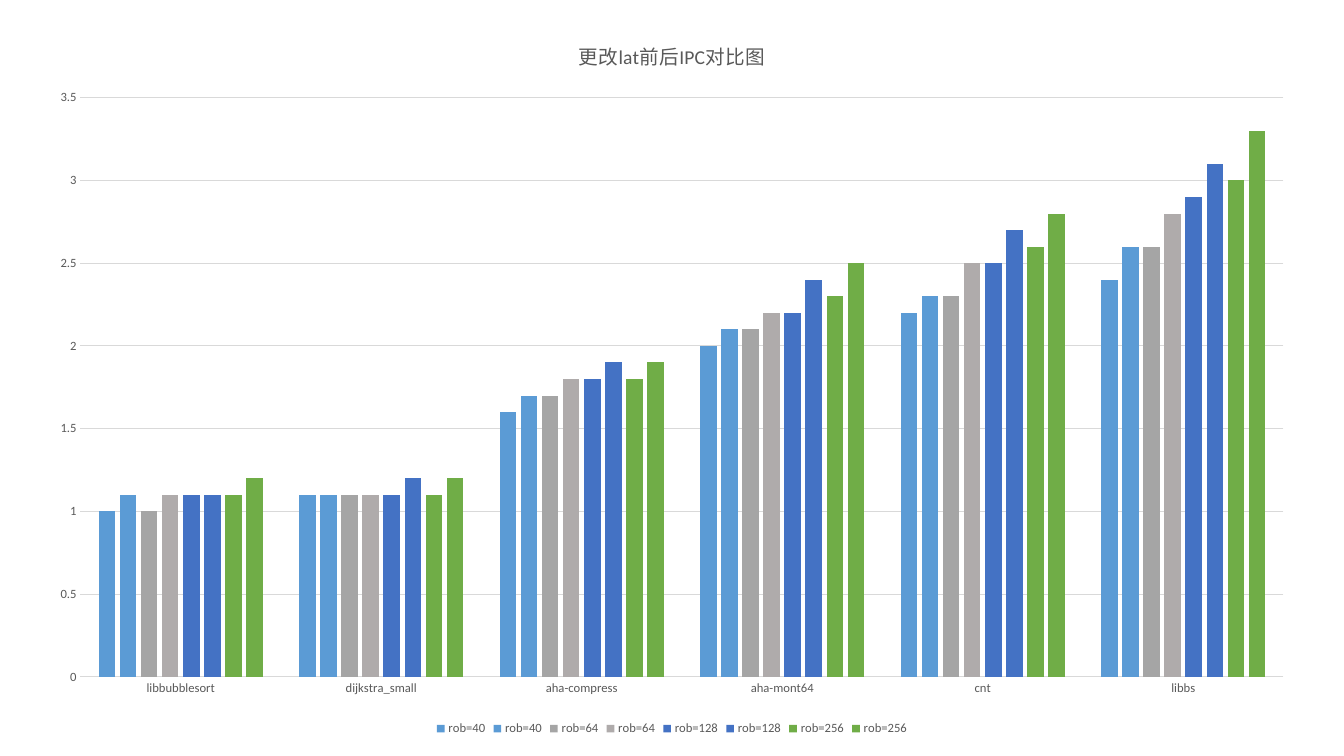
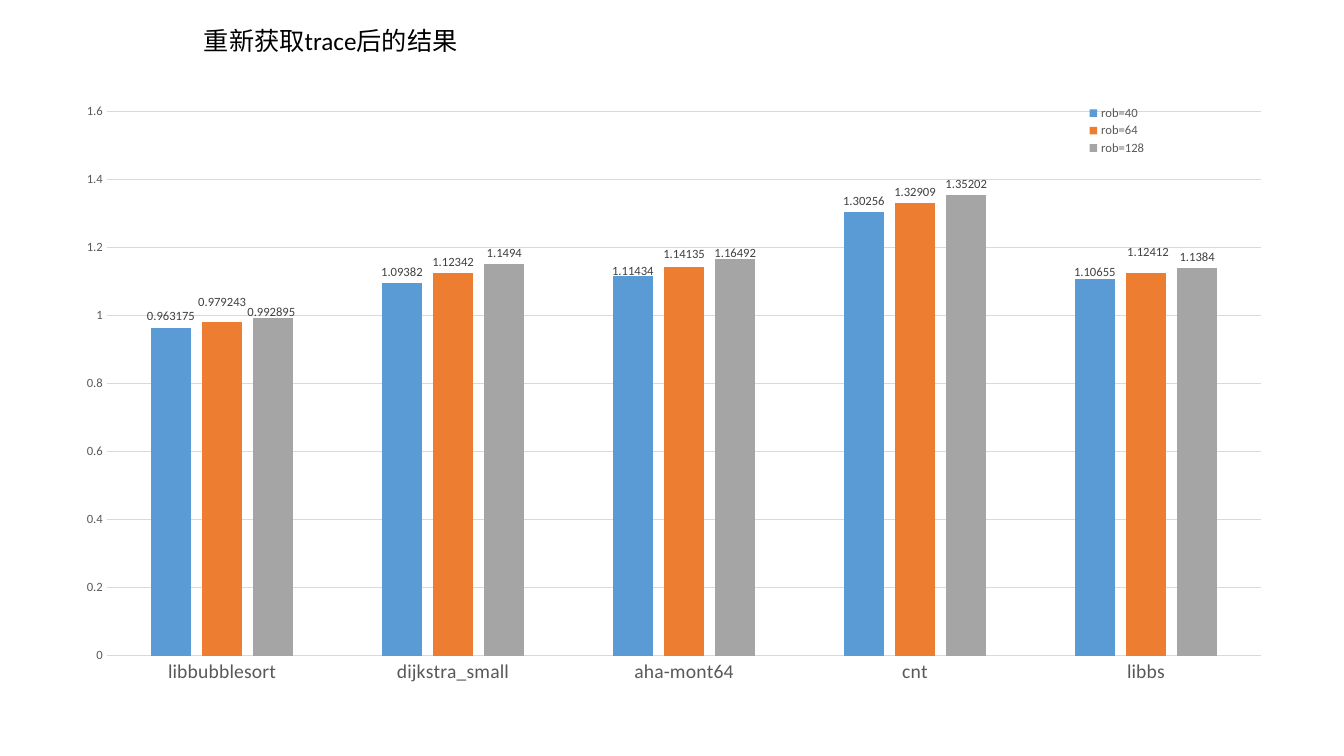
from lxml.etree import SubElement
from pptx import Presentation
from pptx.chart.data import CategoryChartData
from pptx.dml.color import RGBColor
from pptx.enum.chart import XL_CHART_TYPE, XL_LABEL_POSITION, XL_LEGEND_POSITION, XL_TICK_MARK
from pptx.enum.text import MSO_AUTO_SIZE
from pptx.oxml.ns import qn
from pptx.util import Pt

SCALE = 914400 / 100.8
FONT = "Calibri"
COLORS = {
    "text": "595959", "label": "404040", "grid": "D9D9D9", "black": "000000",
    "blue": "5B9BD5", "orange": "ED7D31", "gray": "A5A5A5",
    "warm gray": "AFABAB", "deep blue": "4472C4", "green": "70AD47",
}


def style_font(font, size, color):
    font.name, font.size, font.bold = FONT, Pt(size), False
    font.color.rgb = RGBColor.from_string(COLORS[color])


def set_layout(parent, index, settings):
    for old_layout in parent.findall(qn("c:layout")):
        parent.remove(old_layout)
    layout = SubElement(parent, qn("c:layout"))
    manual = SubElement(layout, qn("c:manualLayout"))
    for tag, value in settings.items():
        SubElement(manual, qn("c:" + tag)).set("val", str(value))
    parent.insert(index, layout)


presentation = Presentation()
presentation.slide_width = round(1344 * SCALE)
presentation.slide_height = round(756 * SCALE)

# Chart contents, one entry per slide
comparison = {
    "box": (35, 16, 1274, 724), "category size": 9, "maximum": 3.5, "step": 0.5,
    "legend": XL_LEGEND_POSITION.BOTTOM,
    "categories": ["libbubblesort", "dijkstra_small", "aha-compress", "aha-mont64", "cnt", "libbs"],
    "series": [
        ("rob=40", "blue", (1, 1.1, 1.6, 2, 2.2, 2.4)),
        ("rob=40", "blue", (1.1, 1.1, 1.7, 2.1, 2.3, 2.6)),
        ("rob=64", "gray", (1, 1.1, 1.7, 2.1, 2.3, 2.6)),
        ("rob=64", "warm gray", (1.1, 1.1, 1.8, 2.2, 2.5, 2.8)),
        ("rob=128", "deep blue", (1.1, 1.1, 1.8, 2.2, 2.5, 2.9)),
        ("rob=128", "deep blue", (1.1, 1.2, 1.9, 2.4, 2.7, 3.1)),
        ("rob=256", "green", (1.1, 1.1, 1.8, 2.3, 2.6, 3)),
        ("rob=256", "green", (1.2, 1.2, 1.9, 2.5, 2.8, 3.3)),
    ],
}
retraced = {
    "box": (38, 97, 1226, 612), "category size": 14, "maximum": 1.6, "step": 0.2,
    "legend": XL_LEGEND_POSITION.RIGHT,
    "categories": ["libbubblesort", "dijkstra_small", "aha-mont64", "cnt", "libbs"],
    "series": [
        ("rob=40", "blue", (0.963175, 1.09382, 1.11434, 1.30256, 1.10655)),
        ("rob=64", "orange", (0.979243, 1.12342, 1.14135, 1.32909, 1.12412)),
        ("rob=128", "gray", (0.992895, 1.1494, 1.16492, 1.35202, 1.1384)),
    ],
}

# Shared chart style
charts = []
for content in (comparison, retraced):
    slide = presentation.slides.add_slide(presentation.slide_layouts[6])
    data = CategoryChartData()
    data.categories = content["categories"]
    for name, color, values in content["series"]:
        data.add_series(name, values)
    box = [round(length * SCALE) for length in content["box"]]
    chart = slide.shapes.add_chart(XL_CHART_TYPE.COLUMN_CLUSTERED, *box, data).chart
    charts.append(chart)
    style_font(chart.font, 10, "black")
    chart.has_title = False

    plot = chart.plots[0]
    plot.gap_width, plot.overlap = 219, -27
    plot.vary_by_categories = False
    for series, (name, color, values) in zip(plot.series, content["series"]):
        series.format.fill.solid()
        series.format.fill.fore_color.rgb = RGBColor.from_string(COLORS[color])

    category_axis, value_axis = chart.category_axis, chart.value_axis
    for axis, size in ((category_axis, content["category size"]), (value_axis, 9)):
        axis.major_tick_mark = axis.minor_tick_mark = XL_TICK_MARK.NONE
        style_font(axis.tick_labels.font, size, "text")
    value_axis.minimum_scale, value_axis.maximum_scale = 0, content["maximum"]
    value_axis.major_unit = content["step"]
    value_axis.format.line.fill.background()
    for line in (category_axis.format.line, value_axis.major_gridlines.format.line):
        line.color.rgb = RGBColor.from_string(COLORS["grid"])
        line.width = Pt(0.75)

    chart.has_legend = True
    chart.legend.position = content["legend"]
    chart.legend.include_in_layout = False
    style_font(chart.legend.font, 9, "text")

# Slide 1: chart title
comparison_chart, retraced_chart = charts
comparison_chart.has_title = True
comparison_chart.chart_title.include_in_layout = False
paragraph = comparison_chart.chart_title.text_frame.paragraphs[0]
paragraph.text = "更改lat前后IPC对比图"
style_font(paragraph.font, 14, "text")

# Slide 2: plot and legend places, as fractions of the chart
edges = {"xMode": "edge", "yMode": "edge"}
plot_area = retraced_chart.plots[0]._element.getparent()
set_layout(plot_area, 0, {"layoutTarget": "inner", **edges, "x": 0.056, "y": 0.023, "w": 0.942, "h": 0.89})
set_layout(retraced_chart.legend._element, 1, {**edges, "x": 0.84, "y": 0.01, "w": 0.08, "h": 0.09})

# Slide 2: value labels, some moved by (x, y) pixels to avoid overlaps
label_moves = [
    {2: (0, 6), 4: (0, 5)},
    {0: (0, -9), 2: (0, -2), 4: (2, -9)},
    {0: (-2, 6), 2: (0, 5)},
]
chart_width, chart_height = retraced["box"][2:]
for series, moves in zip(retraced_chart.plots[0].series, label_moves):
    labels = series.data_labels
    labels.show_value = True
    labels.position = XL_LABEL_POSITION.OUTSIDE_END
    style_font(labels.font, 9, "label")
    for index in moves:
        label = series.points[index].data_label
        style_font(label.font, 9, "label")
        label.position = XL_LABEL_POSITION.OUTSIDE_END
    for element, (x, y) in zip(series._element.findall(".//" + qn("c:dLbl")), moves.values()):
        set_layout(element, 1, {"x": round(x / chart_width, 4), "y": round(y / chart_height, 4)})

# Slide 2: heading
heading_box = [round(length * SCALE) for length in (194, 20, 325, 40)]
heading = presentation.slides[1].shapes.add_textbox(*heading_box).text_frame
heading.word_wrap = True
heading.auto_size = MSO_AUTO_SIZE.SHAPE_TO_FIT_TEXT
paragraph = heading.paragraphs[0]
paragraph.text = "重新获取trace后的结果"
style_font(paragraph.font, 18, "black")

presentation.save("out.pptx")
